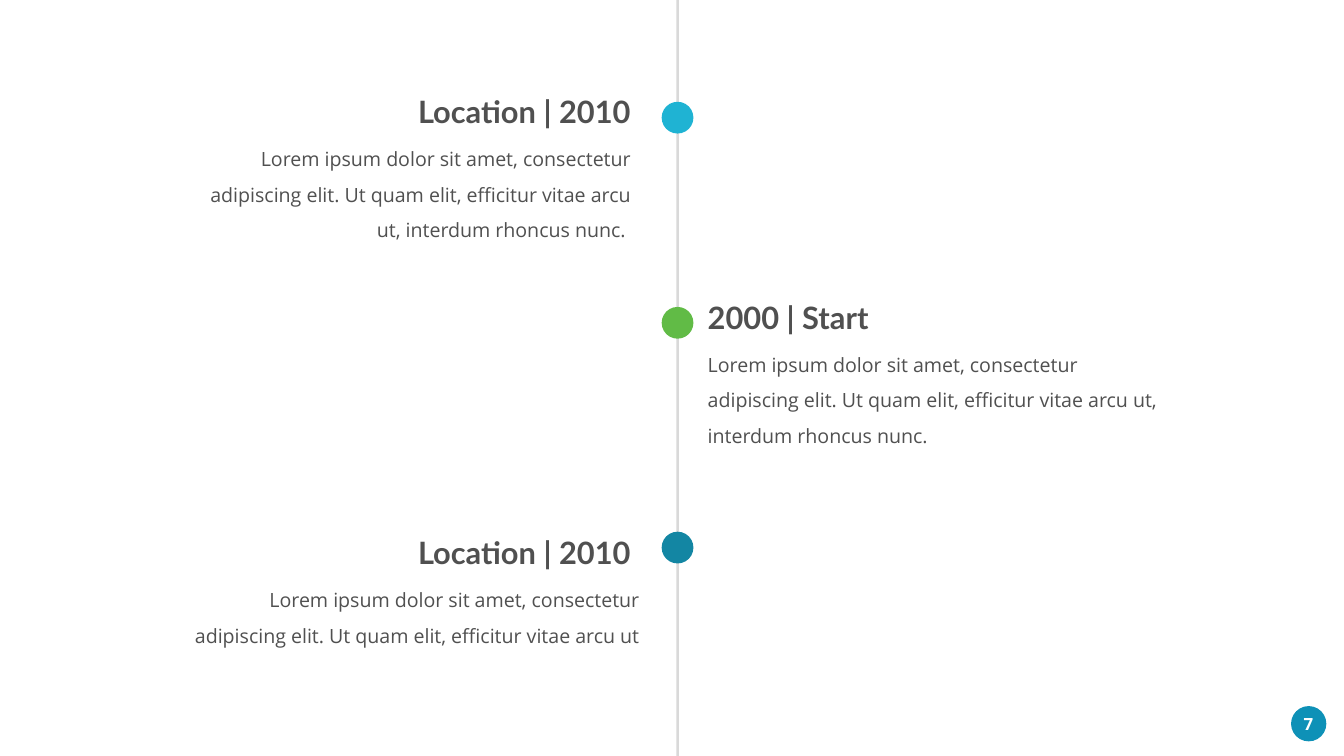
from dataclasses import dataclass

from pptx import Presentation
from pptx.dml.color import RGBColor
from pptx.enum.shapes import MSO_SHAPE
from pptx.enum.text import MSO_AUTO_SIZE, PP_ALIGN
from pptx.util import Inches, Pt

OVAL, BAR = MSO_SHAPE.OVAL, MSO_SHAPE.RECTANGLE
LEFT, CENTER, RIGHT = PP_ALIGN.LEFT, PP_ALIGN.CENTER, PP_ALIGN.RIGHT
GROW = MSO_AUTO_SIZE.SHAPE_TO_FIT_TEXT


@dataclass(frozen=True)
class Theme:
    ink: str = "505050"
    white: str = "FFFFFF"
    axis: str = "D9D9D9"
    badge: str = "0E91B7"
    cyan: str = "1FB3D3"
    green: str = "61BB46"
    teal: str = "1386A3"
    heading_font: str = "Lato"
    body_font: str = "Open Sans"
    heading_size: int = 44
    body_size: int = 28
    badge_size: int = 24


THEME = Theme()
HEADING = {"name": THEME.heading_font, "size": Pt(THEME.heading_size), "bold": True}
BODY = {"name": THEME.body_font, "size": Pt(THEME.body_size), "bold": False}
BADGE = {"name": THEME.body_font, "size": Pt(THEME.badge_size), "bold": True}

deck = Presentation()
deck.slide_width, deck.slide_height = Inches(26.66), Inches(15)
page = deck.slides.add_slide(deck.slide_layouts[6])


def add_figure(kind, left, top, width, height, color):
    figure = page.shapes.add_shape(
        kind, Inches(left), Inches(top), Inches(width), Inches(height))
    figure.shadow.inherit = False
    figure.fill.solid()
    figure.fill.fore_color.rgb = RGBColor.from_string(color)
    figure.line.fill.background()


def add_text(text, left, top, width, height, look, color, align, spacing=None):
    box = page.shapes.add_textbox(
        Inches(left), Inches(top), Inches(width), Inches(height))
    box.text_frame.word_wrap = True
    box.text_frame.auto_size = GROW
    para = box.text_frame.paragraphs[0]
    para.alignment = align
    para.line_spacing = spacing
    span = para.add_run()
    span.text = text
    for name, value in look.items():
        setattr(span.font, name, value)
    span.font.color.rgb = RGBColor.from_string(color)


# Page number badge
add_figure(OVAL, 25.61, 14.01, 0.7, 0.7, THEME.badge)
add_text("7", 25.56, 14.11, 0.79, 0.5, BADGE, THEME.white, CENTER)

# Vertical time axis
AXIS_X, AXIS_WIDTH, DOT = 13.44, 0.05, 0.63
add_figure(BAR, AXIS_X - AXIS_WIDTH / 2, 0, AXIS_WIDTH, 15, THEME.axis)

# Events: heading, body below it, dot on the axis
HEADING_WIDTH, HEADING_HEIGHT = 5.92, 0.84
SHORT = ("Lorem ipsum dolor sit amet, consectetur adipiscing elit. "
         "Ut quam elit, efficitur vitae arcu ut")
LONG = SHORT + ", interdum rhoncus nunc. "

# heading, body, align, heading left, top, body left, width, height, dot top, color
events = [
    ("Location | 2010", LONG, RIGHT, 6.69, 1.8, 3.7, 8.91, 2.22, 2.02, THEME.cyan),
    ("2000 | Start", LONG, LEFT, 13.94, 5.88, 13.94, 9.42, 2.22, 6.09, THEME.green),
    ("Location | 2010", SHORT, RIGHT, 6.69, 10.55, 3.54, 9.24, 1.51, 10.55, THEME.teal),
]
for heading, body, align, x, top, body_x, width, height, dot_top, color in events:
    add_text(heading, x, top, HEADING_WIDTH, HEADING_HEIGHT, HEADING, THEME.ink, align)
    add_text(body, body_x, top + HEADING_HEIGHT, width, height,
             BODY, THEME.ink, align, spacing=1.5)
    add_figure(OVAL, AXIS_X - DOT / 2, dot_top, DOT, DOT, color)

deck.save("out.pptx")
